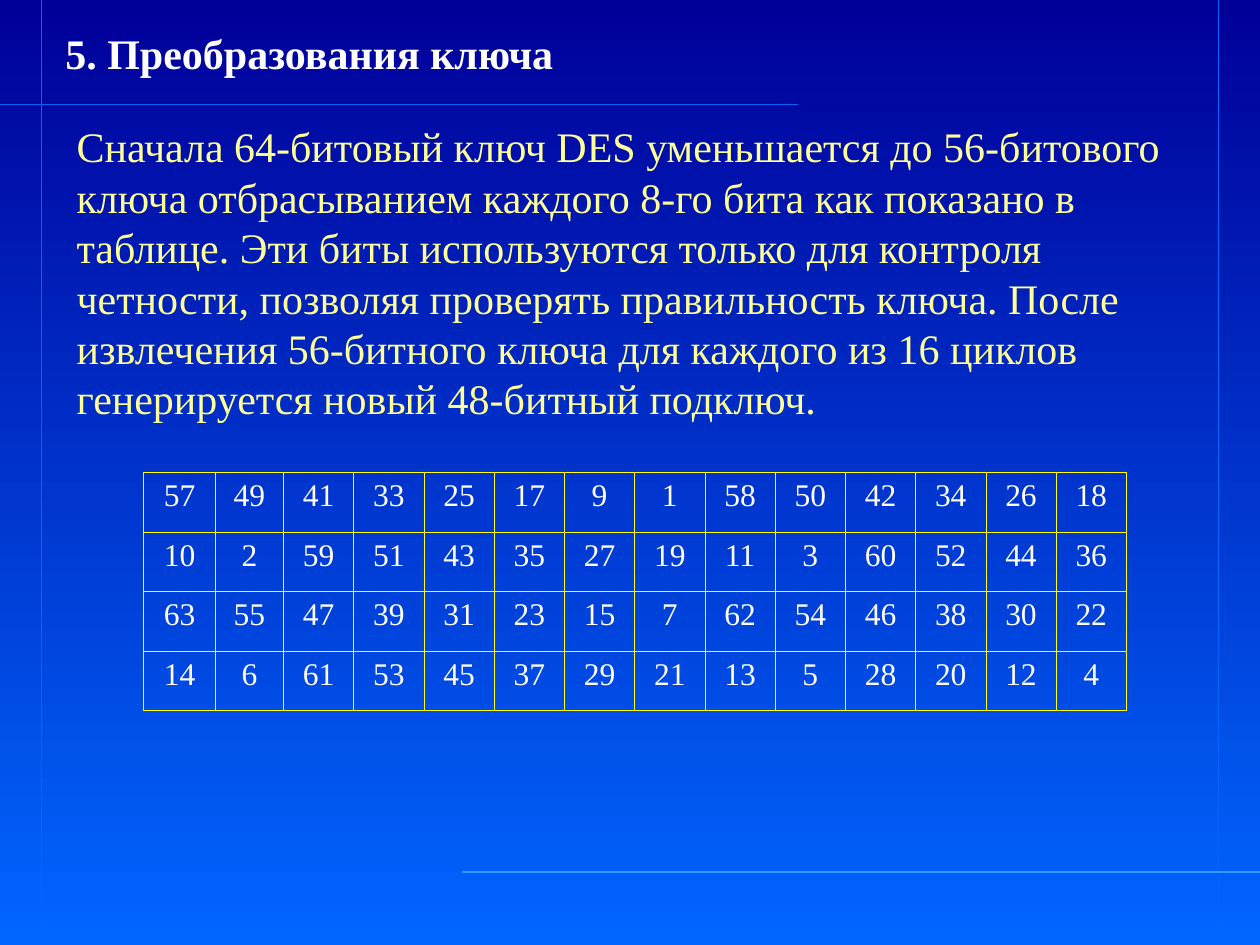
from dataclasses import dataclass

from lxml.etree import SubElement
from pptx import Presentation
from pptx.dml.color import RGBColor as RGB
from pptx.enum.shapes import MSO_CONNECTOR as Connector
from pptx.enum.text import MSO_AUTO_SIZE as AutoSize, PP_ALIGN as Align
from pptx.oxml.ns import qn
from pptx.util import Inches, Pt


@dataclass(frozen=True)
class Theme:
    font: str = "Times New Roman"
    text_size: float = 24
    cell_size: float = 18
    top: str = "000099"
    bottom: str = "0066FF"
    rule: str = "0066FF"
    light_rule: str = "3399FF"
    white: str = "FFFFFF"
    body: str = "FFFF99"
    border: str = "FFFF00"
    border_width: float = 0.45


THEME = Theme()

TITLE = "5. Преобразования ключа"
BODY = (
    "Сначала 64-битовый ключ DES уменьшается до 56-битового ключа "
    "отбрасыванием каждого 8-го бита как показано в таблице. Эти биты "
    "используются только для контроля четности, позволяя проверять "
    "правильность ключа. После извлечения 56-битного ключа для каждого из "
    "16 циклов генерируется новый 48-битный подключ."
)
KEY_BITS = [
    [57, 49, 41, 33, 25, 17, 9, 1, 58, 50, 42, 34, 26, 18],
    [10, 2, 59, 51, 43, 35, 27, 19, 11, 3, 60, 52, 44, 36],
    [63, 55, 47, 39, 31, 23, 15, 7, 62, 54, 46, 38, 30, 22],
    [14, 6, 61, 53, 45, 37, 29, 21, 13, 5, 28, 20, 12, 4],
]


def write(tf, text, size, color, bold=False, align=Align.LEFT):
    p = tf.paragraphs[0]
    p.alignment = align
    r = p.add_run()
    r.text = text
    r.font.name = THEME.font
    r.font.size = Pt(size)
    r.font.bold = bold
    r.font.color.rgb = RGB.from_string(color)


def add_text(s, box, text, color, bold=False):
    tf = s.shapes.add_textbox(*map(Inches, box)).text_frame
    tf.word_wrap = True
    tf.auto_size = AutoSize.SHAPE_TO_FIT_TEXT
    write(tf, text, THEME.text_size, color, bold)


def add_rule(s, start, end, color, width=1):
    line = s.shapes.add_connector(Connector.STRAIGHT, *map(Inches, start + end))
    line.line.color.rgb = RGB.from_string(color)
    line.line.width = Pt(width)
    SubElement(line._element.spPr, qn("a:effectLst"))


def add_backdrop(s, width, height):
    fill = s.background.fill
    fill.gradient()
    fill.gradient_angle = 270
    for stop, color in zip(fill.gradient_stops, (THEME.top, THEME.bottom)):
        stop.color.rgb = RGB.from_string(color)
    margin, rule_length = 0.33, 6.33
    for x in (margin, width - margin):
        add_rule(s, (x, 0), (x, height), THEME.rule)
    add_rule(s, (0, 0.83), (rule_length, 0.83), THEME.rule, 0.75)
    add_rule(s, (width - rule_length, 6.92), (width, 6.92), THEME.light_rule)


def set_borders(cell):
    tc_pr = cell._tc.get_or_add_tcPr()
    for side in ("a:lnL", "a:lnR", "a:lnT", "a:lnB"):
        ln = SubElement(tc_pr, qn(side), w=str(Pt(THEME.border_width)))
        fill = SubElement(ln, qn("a:solidFill"))
        SubElement(fill, qn("a:srgbClr"), val=THEME.border)


def add_key_table(s, box, rows):
    """Bit table whose first two columns differ slightly from the equal rest."""
    width, height = box[2:]
    n_cols = len(rows[0])
    table = s.shapes.add_table(len(rows), n_cols, *map(Inches, box)).table
    table.first_row = table.horz_banding = False
    widths = [0.57, 0.54]
    widths += [(width - sum(widths)) / (n_cols - 2)] * (n_cols - 2)
    for column, w in zip(table.columns, widths):
        column.width = Inches(w)
    for i, values in enumerate(rows):
        table.rows[i].height = Inches(height / len(rows))
        for j, value in enumerate(values):
            cell = table.cell(i, j)
            set_borders(cell)
            cell.fill.background()
            write(cell.text_frame, str(value), THEME.cell_size, THEME.white,
                  align=Align.CENTER)


def main():
    width, height = 10, 7.5
    prs = Presentation()
    prs.slide_width, prs.slide_height = Inches(width), Inches(height)
    s = prs.slides.add_slide(prs.slide_layouts[6])
    add_backdrop(s, width, height)
    add_text(s, (0.42, 0.17, 5.92, 0.5), TITLE, THEME.white, bold=True)
    add_text(s, (0.51, 0.91, 9, 2.5), BODY, THEME.body)
    add_key_table(s, (1.14, 3.75, 7.8, 1.89), KEY_BITS)
    prs.save("out.pptx")


if __name__ == "__main__":
    main()
